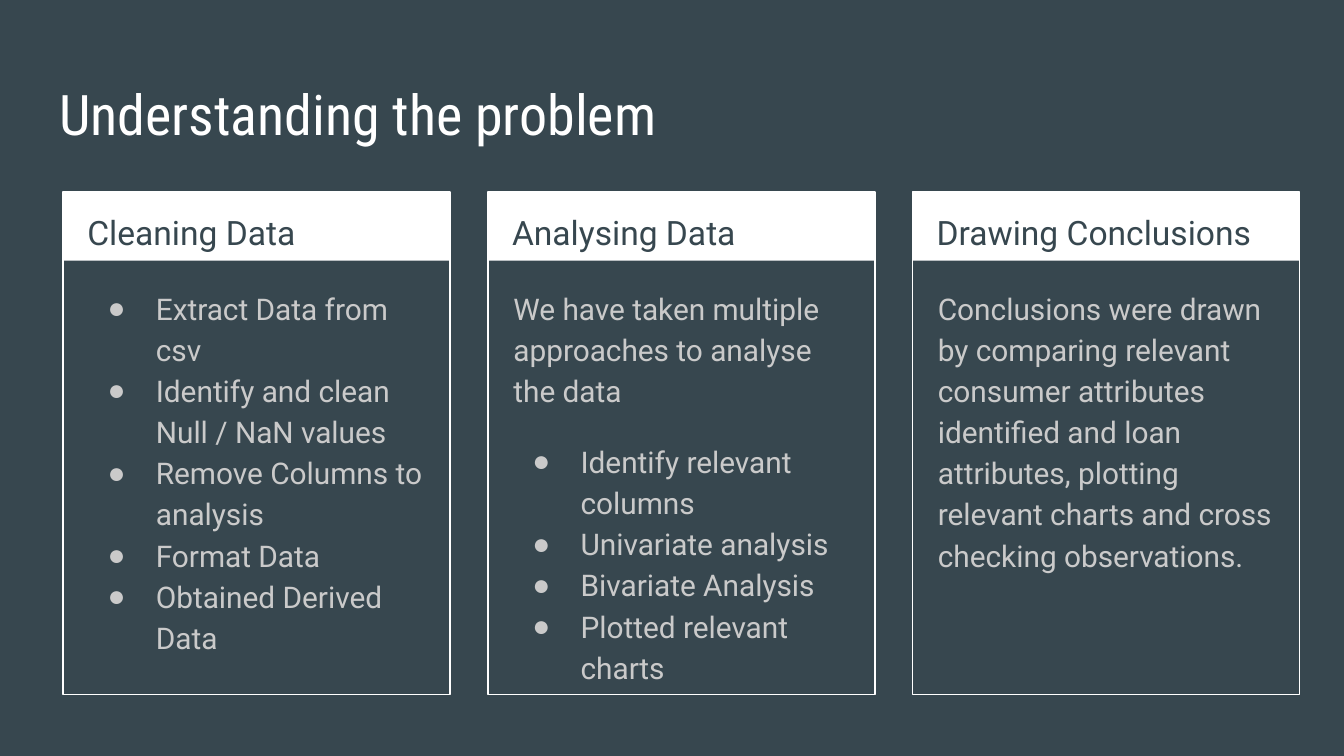
from pptx import Presentation
from pptx.dml.color import RGBColor
from pptx.enum.shapes import MSO_SHAPE
from pptx.enum.text import MSO_ANCHOR, MSO_AUTO_SIZE, PP_ALIGN
from pptx.oxml import parse_xml
from pptx.oxml.ns import nsdecls
from pptx.util import Inches, Pt

RECT = MSO_SHAPE.RECTANGLE
TOP = MSO_ANCHOR.TOP
NO_FIT = MSO_AUTO_SIZE.NONE
LEFT = PP_ALIGN.LEFT

SLATE = RGBColor(0x37, 0x47, 0x4F)
WHITE = RGBColor(0xFF, 0xFF, 0xFF)
GREY = RGBColor(0xCA, 0xCA, 0xCA)

# Content: heading, introduction, bullet list
TITLE = "Understanding the problem"
COLUMNS = [
    ("Cleaning Data", "",
     ["Extract Data from csv", "Identify and clean Null / NaN values",
      "Remove Columns to analysis", "Format Data", "Obtained Derived Data"]),
    ("Analysing Data", "We have taken multiple approaches to analyse the data",
     ["Identify relevant columns", "Univariate analysis",
      "Bivariate Analysis", "Plotted relevant charts"]),
    ("Drawing Conclusions",
     "Conclusions were drawn by comparing relevant consumer attributes "
     "identified and loan attributes, plotting relevant charts and cross "
     "checking observations.", []),
]

# Layout in inches
CARD_X, CARD_Y, CARD_W, CARD_H = 0.47, 1.43, 2.88, 3.74
HEAD_H, PITCH = 0.51, 3.16


def place(sp, x, y, w, h):
    sp.left, sp.top, sp.width, sp.height = map(Inches, (x, y, w, h))
    tf = sp.text_frame
    tf.word_wrap = True
    tf.auto_size = NO_FIT
    tf.vertical_anchor = TOP
    tf.margin_left = tf.margin_right = Inches(0.1)
    tf.margin_top = tf.margin_bottom = Inches(0.1)
    return tf


def add_text(tf, text, size, color, font="Roboto", spacing=1.15, before=0, bullet=False):
    p = tf.paragraphs[0]
    if p.runs:
        p = tf.add_paragraph()
    p.alignment = LEFT
    p.line_spacing = spacing
    p.space_before = Pt(before)
    p.space_after = Pt(0)
    r = p.add_run()
    r.text = text
    r.font.name, r.font.size, r.font.bold = font, Pt(size), False
    r.font.color.rgb = color
    pPr = p._p.get_or_add_pPr()
    pPr.set("marL", str(Inches(0.5) if bullet else 0))
    pPr.set("indent", str(Inches(-0.36) if bullet else 0))
    marks = (f'<a:buClr {{}}><a:srgbClr val="{color}"/></a:buClr>',
             '<a:buChar {} char="●"/>') if bullet else ('<a:buNone {}/>',)
    for mark in marks:
        pPr.append(parse_xml(mark.format(nsdecls("a"))))


def add_rect(s, x, y, w, h, fill=None, line=None):
    sp = s.shapes.add_shape(RECT, Inches(x), Inches(y), Inches(w), Inches(h))
    sp.shadow.inherit = False
    if fill is None:
        sp.fill.background()
    else:
        sp.fill.solid()
        sp.fill.fore_color.rgb = fill
    if line is None:
        sp.line.fill.background()
    else:
        sp.line.color.rgb = line
        sp.line.width = Pt(0.75)


def text_holder(s, holders):
    """Next free placeholder, brought to the front, or else a text box."""
    if not holders:
        return s.shapes.add_textbox(0, 0, 0, 0)
    sp = holders.pop(0)
    s.shapes._spTree.append(sp._element)
    return sp


def main():
    prs = Presentation()
    prs.slide_width = Inches(10)
    prs.slide_height = prs.slide_width * 9 // 16
    s = prs.slides.add_slide(prs.slide_layouts[4])  # Comparison
    s.background.fill.solid()
    s.background.fill.fore_color.rgb = SLATE

    # Title
    tf = place(s.shapes.title, 0.34, 0.49, 9.32, 0.63)
    add_text(tf, TITLE, 30, WHITE, font="Roboto Condensed", spacing=1)

    # Cards
    holders = [s.placeholders[i] for i in (1, 2, 3, 4)]
    for i, (heading, intro, items) in enumerate(COLUMNS):
        x = CARD_X + i * PITCH
        add_rect(s, x, CARD_Y, CARD_W, HEAD_H, fill=WHITE)
        add_rect(s, x, CARD_Y, CARD_W, CARD_H, line=WHITE)

        tf = place(text_holder(s, holders), x + 0.08, CARD_Y, 2.73, 0.5)
        add_text(tf, heading, 18, SLATE)

        tf = place(text_holder(s, holders), x + 0.09, 2.02, 2.71, 3.06)
        if intro:
            add_text(tf, intro, 16, GREY)
        for n, item in enumerate(items):
            gap = 16 if intro and n == 0 else 0
            add_text(tf, item, 16, GREY, before=gap, bullet=True)

    prs.save("out.pptx")


if __name__ == "__main__":
    main()
